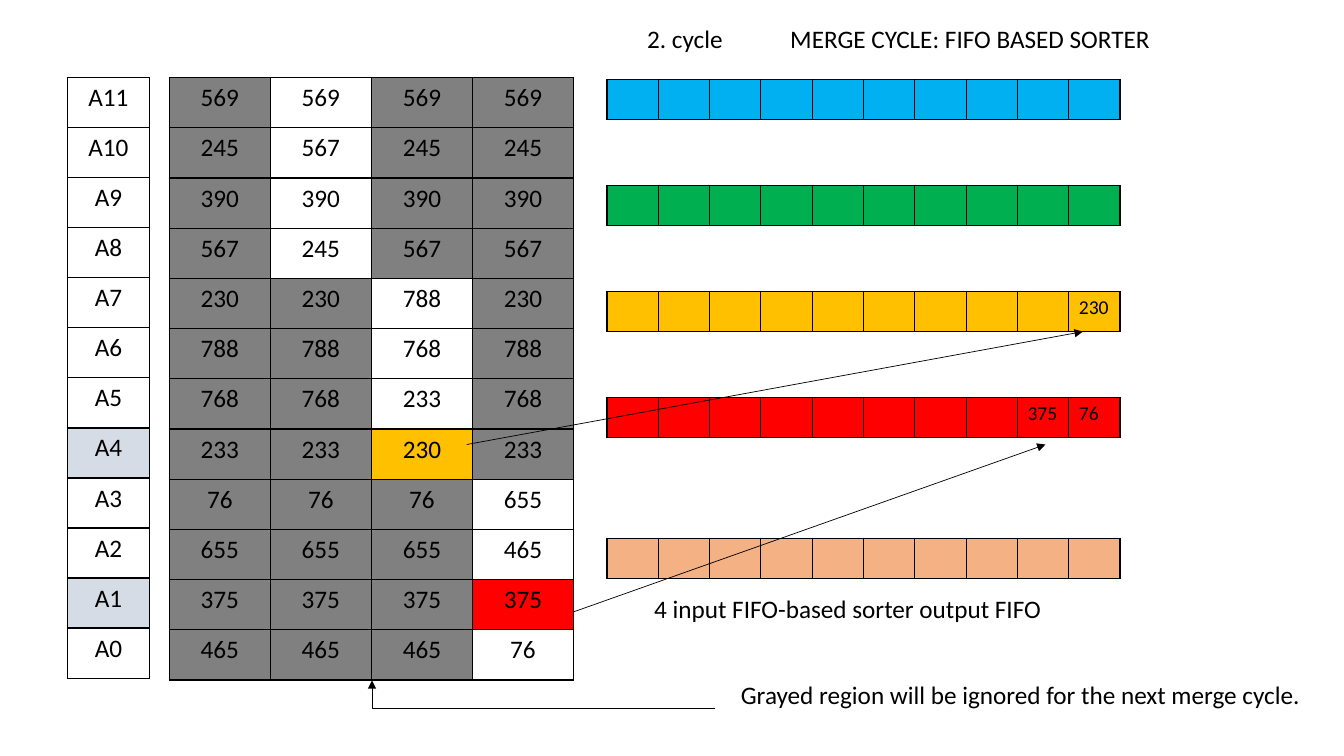
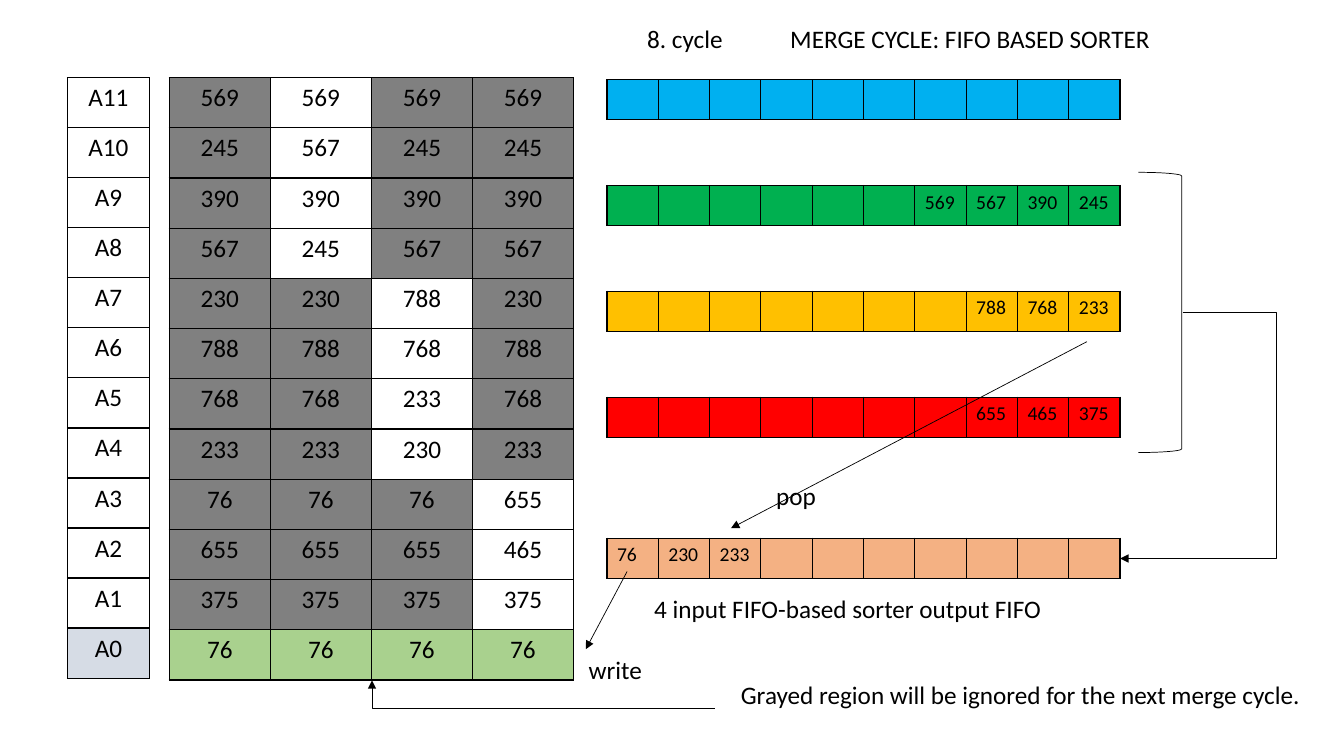
from dataclasses import dataclass
from typing import NamedTuple, Optional

from lxml import etree
from pptx import Presentation
from pptx.dml.color import RGBColor
from pptx.enum.shapes import MSO_CONNECTOR, MSO_SHAPE
from pptx.enum.text import MSO_AUTO_SIZE, PP_ALIGN
from pptx.oxml import parse_xml
from pptx.oxml.ns import nsdecls, qn
from pptx.util import Emu, Pt

STRAIGHT, ELBOW = MSO_CONNECTOR.STRAIGHT, MSO_CONNECTOR.ELBOW
BRACKET = MSO_SHAPE.RIGHT_BRACKET
CENTER, LEFT = PP_ALIGN.CENTER, PP_ALIGN.LEFT
GROW = MSO_AUTO_SIZE.SHAPE_TO_FIT_TEXT


@dataclass(frozen=True)
class Theme:
    font: str = "Calibri"
    body: int = 18
    small: int = 14
    border: float = 1
    hairline: float = 0.5
    ink: str = "000000"
    ignored: str = "808080"
    address: str = "D6DCE5"
    written: str = "A9D18E"
    blue: str = "00B0F0"
    green: str = "00B050"
    amber: str = "FFC000"
    red: str = "FF0000"
    output: str = "F4B183"


T = Theme()


class Box(NamedTuple):
    x: float
    y: float
    w: float
    h: float


class Point(NamedTuple):
    x: float
    y: float


class Cell(NamedTuple):
    text: str = ""
    fill: Optional[str] = None


class Label(NamedTuple):
    text: str
    x: float
    y: float
    w: float


class Arrow(NamedTuple):
    start: Point
    end: Point


@dataclass(frozen=True)
class Cycle:
    number: int
    queues: tuple[tuple[str, ...], ...]
    output: tuple[str, ...]
    active: tuple[int, ...]
    marks: dict[tuple[int, int], str]
    arrows: tuple[Arrow, ...]
    labels: tuple[Label, ...] = ()
    written: str = ""
    merging: bool = False


prs = Presentation()
prs.slide_width, prs.slide_height = Emu(12192000), Emu(6858000)

VALUES = (569, 245, 390, 567, 230, 788, 768, 233, 76, 655, 375, 465)
BLOCK = 4
SLOTS = 10
LINE_H = 5.33
MEMORY = Box(12.6, 10.27, 30.08, 79.73)
ADDRESSES = Box(5.03, 10.27, 6.08, 79.47)
FIFO = Box(45.16, 10.53, 38.18, LINE_H)
FIFO_STEP = 14
OUTPUT = FIFO._replace(y=71.2)
QUEUE_COLORS = (T.blue, T.green, T.amber, T.red)
BRACE = Box(84.7, 22.8, 3.23, 37.07)
LABELS = (
    Label("Grayed region will be ignored for the next merge cycle.", 54.39, 89.2, 43.44),
    Label("MERGE CYCLE: FIFO BASED SORTER", 58.06, 2.4, 31.36),
    Label("4 input FIFO-based sorter output FIFO", 47.94, 77.87, 32.63),
)
IGNORED_ARROW = Arrow(Point(53.19, 93.73), Point(27.68, 90))
MERGE_ARROW = Arrow(Point(88, 41.33), Point(83.35, 73.87))
MERGE_TURN = 94.97

CYCLES = (
    Cycle(2, ((), (), ("230",), ("375", "76")), (), (7, 10),
          {(7, 2): T.amber, (10, 3): T.red},
          (Arrow(Point(42.69, 80.93), Point(77.79, 58.8)),
           Arrow(Point(34.73, 58.8), Point(80.57, 43.87)))),
    Cycle(8, ((), ("569", "567", "390", "245"), ("788", "768", "233"), ("655", "465", "375")),
          ("76", "230", "233"), (11,), {},
          (Arrow(Point(80.87, 45.2), Point(54.39, 69.87)),
           Arrow(Point(46.66, 75.6), Point(43.59, 85.87))),
          (Label("pop", 57.01, 62.93, 6.68), Label("write", 43.06, 85.87, 5.55)),
          written="76", merging=True),
)


def px(share: float) -> Emu:
    return Emu(round(prs.slide_width * share / 100))


def py(share: float) -> Emu:
    return Emu(round(prs.slide_height * share / 100))


def place(b: Box) -> tuple[Emu, Emu, Emu, Emu]:
    return px(b.x), py(b.y), px(b.w), py(b.h)


def style(p, size: int, align=LEFT) -> None:
    p.alignment = align
    p.font.name, p.font.size = T.font, Pt(size)
    p.font.color.rgb = RGBColor.from_string(T.ink)


def add_borders(cell) -> None:
    tc_pr = cell._tc.get_or_add_tcPr()
    for i, side in enumerate("LRTB"):
        tc_pr.insert(i, parse_xml(
            f'<a:ln{side} {nsdecls("a")} w="{Pt(T.border)}"><a:solidFill>'
            f'<a:srgbClr val="{T.ink}"/></a:solidFill></a:ln{side}>'))


def add_grid(s, box: Box, rows: list[list[Cell]], size: int, align) -> None:
    table = s.shapes.add_table(len(rows), len(rows[0]), *place(box)).table
    table.first_row = table.horz_banding = False
    for row in table.rows:
        row.height = py(box.h / len(rows))
    for column in table.columns:
        column.width = px(box.w / len(rows[0]))
    for r, row in enumerate(rows):
        for c, item in enumerate(row):
            cell = table.cell(r, c)
            if item.fill:
                cell.fill.solid()
                cell.fill.fore_color.rgb = RGBColor.from_string(item.fill)
            else:
                cell.fill.background()
            add_borders(cell)
            cell.text = item.text
            style(cell.text_frame.paragraphs[0], size, align)


def add_label(s, label: Label) -> None:
    sp = s.shapes.add_textbox(*place(Box(label.x, label.y, label.w, LINE_H)))
    tf = sp.text_frame
    tf.word_wrap, tf.auto_size = True, GROW
    tf.text = label.text
    style(tf.paragraphs[0], T.body)


def set_line(sp) -> None:
    sp.line.width = Pt(T.hairline)
    sp.line.color.rgb = RGBColor.from_string(T.ink)


def add_arrow(s, arrow: Arrow, kind=STRAIGHT):
    a, b = arrow
    cxn = s.shapes.add_connector(kind, px(a.x), py(a.y), px(b.x), py(b.y))
    set_line(cxn)
    etree.SubElement(cxn.line._get_or_add_ln(), qn("a:tailEnd"), type="triangle")
    etree.SubElement(cxn._element.spPr, qn("a:effectLst"))
    return cxn


def add_elbow(s, arrow: Arrow, turn: Optional[float] = None) -> None:
    sp_pr = add_arrow(s, arrow, ELBOW)._element.spPr
    xfrm, geom = sp_pr.find(qn("a:xfrm")), sp_pr.find(qn("a:prstGeom"))
    if xfrm.flipH:
        xfrm.flipH, xfrm.flipV = False, not xfrm.flipV
        xfrm.set("rot", "10800000")
    if turn is None:
        geom.set("prst", "bentConnector2")
        return
    share = (turn - arrow.start.x) / (arrow.end.x - arrow.start.x)
    guides = geom.find(qn("a:avLst"))
    if guides is None:
        guides = etree.SubElement(geom, qn("a:avLst"))
    etree.SubElement(guides, qn("a:gd"), name="adj1", fmla=f"val {round(share * 100000)}")


def memory_rows(cycle: Cycle) -> list[list[Cell]]:
    rows = []
    for r, value in enumerate(VALUES):
        block, offset = divmod(r, BLOCK)
        first = block * BLOCK
        ordered = sorted(VALUES[first:first + BLOCK], reverse=True)
        row = [Cell(str(value), T.ignored) for _ in range(4)]
        row[block + 1] = Cell(str(ordered[offset]), cycle.marks.get((r, block + 1)))
        rows.append(row)
    if cycle.written:
        rows[-1] = [Cell(cycle.written, T.written)] * 4
    return rows


def address_rows(cycle: Cycle) -> list[list[Cell]]:
    last = len(VALUES) - 1
    return [[Cell(f"A{last - r}", T.address if r in cycle.active else None)]
            for r in range(len(VALUES))]


def add_fifo(s, box: Box, texts: tuple[str, ...], fill: str) -> None:
    add_grid(s, box, [[Cell(text, fill) for text in texts]], T.small, LEFT)


def blanks(texts: tuple[str, ...]) -> tuple[str, ...]:
    return ("",) * (SLOTS - len(texts))


def add_cycle(cycle: Cycle) -> None:
    s = prs.slides.add_slide(prs.slide_layouts[6])
    add_grid(s, MEMORY, memory_rows(cycle), T.body, CENTER)
    add_grid(s, ADDRESSES, address_rows(cycle), T.body, CENTER)
    add_elbow(s, IGNORED_ARROW)
    for i, (queue, color) in enumerate(zip(cycle.queues, QUEUE_COLORS)):
        add_fifo(s, FIFO._replace(y=FIFO.y + i * FIFO_STEP), blanks(queue) + queue, color)
    add_fifo(s, OUTPUT, cycle.output + blanks(cycle.output), T.output)
    title = Label(f"{cycle.number}. cycle", 47.41, 2.4, 10.65)
    for label in (*LABELS, title, *cycle.labels):
        add_label(s, label)
    if cycle.merging:
        sp = s.shapes.add_shape(BRACKET, *place(BRACE))
        sp.shadow.inherit = False
        sp.fill.background()
        set_line(sp)
        add_elbow(s, MERGE_ARROW, MERGE_TURN)
    for arrow in cycle.arrows:
        add_arrow(s, arrow)


for cycle in CYCLES:
    add_cycle(cycle)
prs.save("out.pptx")
